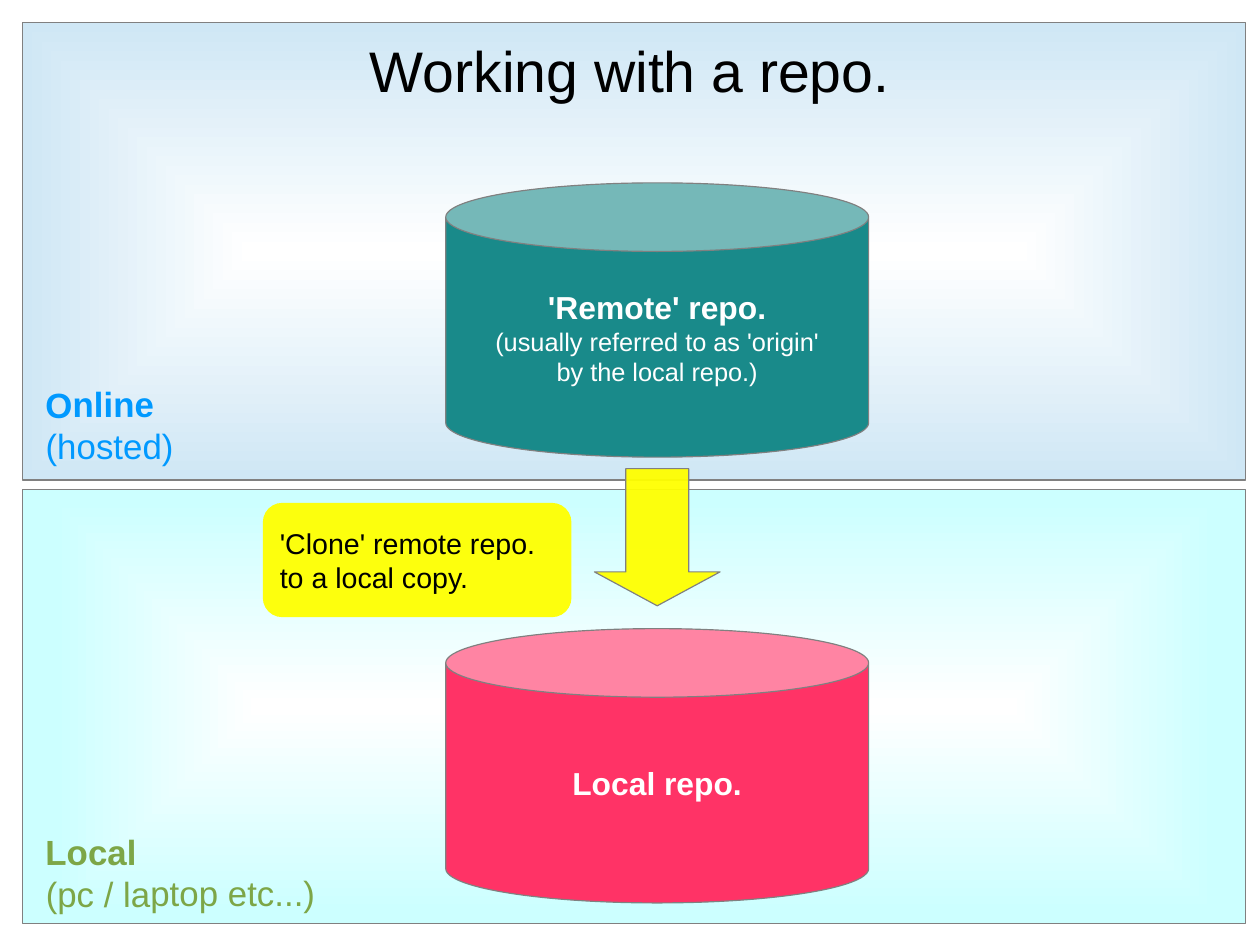
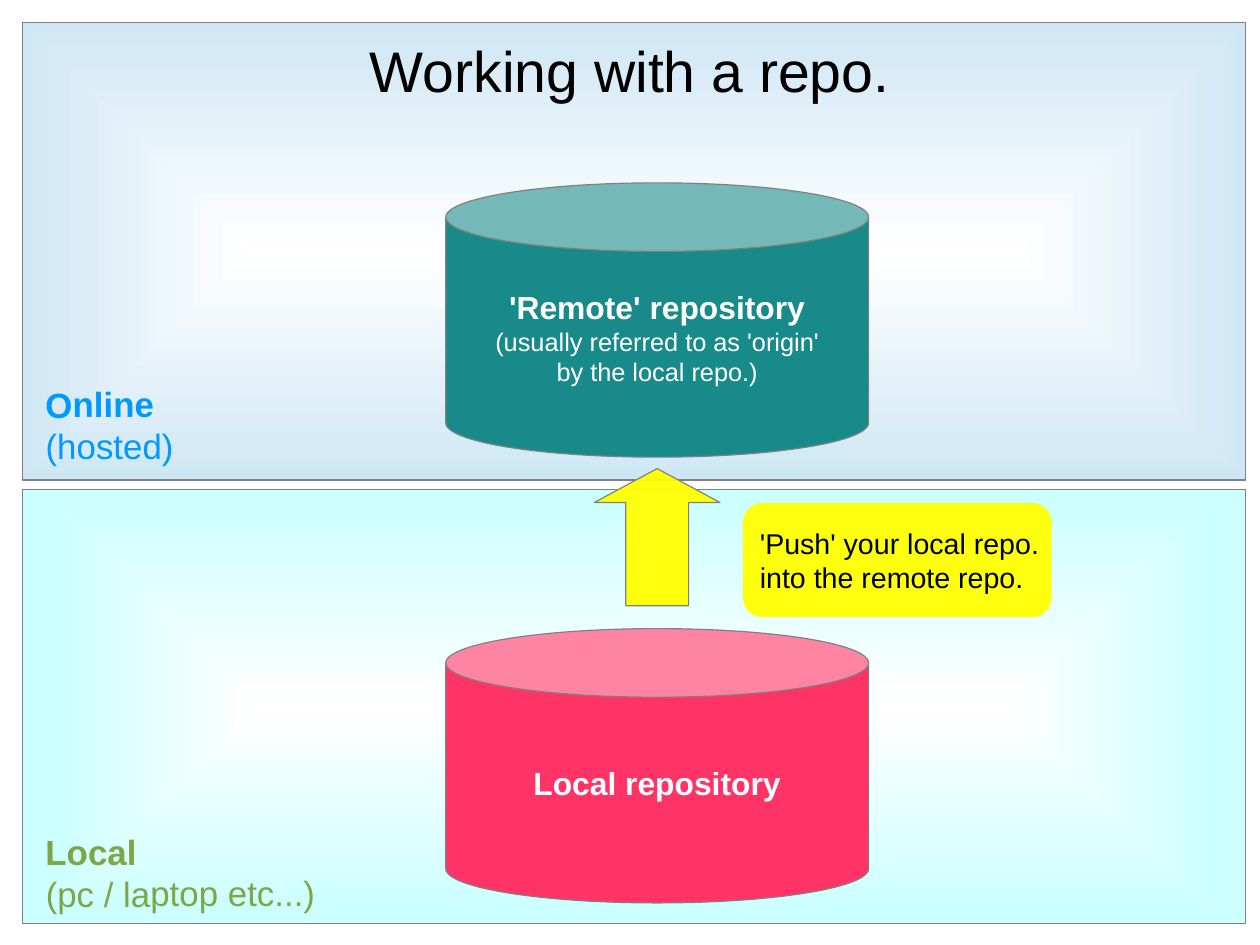
from dataclasses import dataclass

from lxml.etree import SubElement
from pptx import Presentation
from pptx.dml.color import RGBColor
from pptx.enum.shapes import MSO_SHAPE
from pptx.enum.text import MSO_ANCHOR, PP_ALIGN
from pptx.oxml import parse_xml
from pptx.oxml.ns import nsdecls, qn
from pptx.presentation import Presentation as Deck
from pptx.shapes.autoshape import Shape
from pptx.slide import Slide
from pptx.util import Cm, Emu, Inches, Pt

FONT = "Arial"
WHITE = RGBColor(0xFF, 0xFF, 0xFF)
BLACK = RGBColor(0x00, 0x00, 0x00)
OUTLINE = RGBColor(0x80, 0x80, 0x80)
SKY = RGBColor(0xCF, 0xE7, 0xF5)
AQUA = RGBColor(0xCC, 0xFF, 0xFF)
BLUE = RGBColor(0x00, 0x99, 0xFF)
GREEN = RGBColor(0x7D, 0xA6, 0x47)
TEAL = RGBColor(0x19, 0x8A, 0x8A)
PINK = RGBColor(0xFF, 0x33, 0x66)
YELLOW = RGBColor(0xFF, 0xFF, 0x00)

SLIDE_WIDTH, SLIDE_HEIGHT = Cm(28), Cm(21)
CELL = 0.1  # grid pitch in inches
YELLOW_OPACITY = 95


@dataclass(frozen=True)
class Area:
    """A place on the grid, counted in cells."""
    col: float
    row: float
    cols: float
    rows: float

    def lengths(self) -> list[Emu]:
        return [Inches(cells * CELL) for cells in (self.col, self.row, self.cols, self.rows)]


@dataclass(frozen=True)
class Line:
    text: str
    size: int
    bold: bool = False


@dataclass(frozen=True)
class Zone:
    area: Area
    edge: RGBColor
    edge_stop: int
    label_area: Area
    label_color: RGBColor
    label_tilt: float
    name: str
    place: str


@dataclass(frozen=True)
class Step:
    """One transfer between the two repositories."""
    remote_name: str
    local_name: str
    arrow_rotation: int
    callout_col: int
    callout: tuple[str, str]


TITLE = Line("Working with a repo.", 36)
TITLE_AREA = Area(5.5, 1.1, 99.2, 10)
ZONES = (
    Zone(Area(2, 42.8, 107, 38), AQUA, 95, Area(3, 72.1, 25.6, 7.8), GREEN, 359.6,
         "Local", "(pc / laptop etc...)"),
    Zone(Area(2, 2, 107, 40), SKY, 100, Area(3, 33, 13.3, 7.8), BLUE, 359.7,
         "Online", "(hosted)"),
)
REMOTE_AREA = Area(39, 16, 37, 24)
LOCAL_AREA = Area(39, 55, 37, 24)
ARROW_AREA = Area(52, 41, 11, 12)
REMOTE_NOTE = (Line("(usually referred to as 'origin'", 16), Line("by the local repo.)", 16))
STEPS = (
    Step("'Remote' repo.", "Local repo.", 180, 23,
         ("'Clone' remote repo.", "to a local copy.")),
    Step("'Remote' repository", "Local repository", 0, 65,
         ("'Push' your local repo.", "into the remote repo.")),
)


def write(shape: Shape, lines: tuple[Line, ...], color: RGBColor,
          align: PP_ALIGN = PP_ALIGN.LEFT, anchor: MSO_ANCHOR = MSO_ANCHOR.MIDDLE,
          wrap: bool = False) -> None:
    frame = shape.text_frame
    frame.word_wrap = wrap
    frame.vertical_anchor = anchor
    for index, line in enumerate(lines):
        paragraph = frame.add_paragraph() if index else frame.paragraphs[0]
        paragraph.text = line.text
        paragraph.alignment = align
        font = paragraph.font
        font.name, font.size, font.bold = FONT, Pt(line.size), line.bold
        font.color.rgb = color


def add_text(slide: Slide, area: Area) -> Shape:
    return slide.shapes.add_textbox(*area.lengths())


def add_preset(slide: Slide, preset: MSO_SHAPE, area: Area, *adjustments: float,
               fill: RGBColor | None = None, outlined: bool = True) -> Shape:
    shape = slide.shapes.add_shape(preset, *area.lengths())
    shape.shadow.inherit = False
    for index, value in enumerate(adjustments):
        shape.adjustments[index] = value
    if fill is not None:
        shape.fill.solid()
        shape.fill.fore_color.rgb = fill
    if outlined:
        shape.line.color.rgb = OUTLINE
        shape.line.width = Pt(0)
    else:
        shape.line.fill.background()
    return shape


def make_translucent(shape: Shape, opacity: int) -> None:
    color = shape._element.spPr.find(qn("a:solidFill")).find(qn("a:srgbClr"))
    SubElement(color, qn("a:alpha"), val=str(opacity * 1000))


def fill_from_centre(shape: Shape, edge: RGBColor, edge_stop: int) -> None:
    """Fade from white at the centre to the edge colour."""
    gradient = parse_xml(
        f'<a:gradFill {nsdecls("a")}><a:gsLst>'
        f'<a:gs pos="0"><a:srgbClr val="{WHITE}"/></a:gs>'
        f'<a:gs pos="{edge_stop * 1000}"><a:srgbClr val="{edge}"/></a:gs>'
        '</a:gsLst><a:path path="rect">'
        '<a:fillToRect l="50000" t="50000" r="50000" b="50000"/>'
        '</a:path></a:gradFill>')
    shape._element.spPr.find(qn("a:prstGeom")).addnext(gradient)


def add_zones(slide: Slide) -> None:
    for zone in ZONES:
        band = add_preset(slide, MSO_SHAPE.RECTANGLE, zone.area)
        fill_from_centre(band, zone.edge, zone.edge_stop)
    for zone in reversed(ZONES):
        label = add_text(slide, zone.label_area)
        label.rotation = zone.label_tilt
        write(label, (Line(zone.name, 22, True), Line(zone.place, 22)),
              zone.label_color, anchor=MSO_ANCHOR.TOP)


def add_repository(slide: Slide, area: Area, color: RGBColor, *lines: Line) -> None:
    can = add_preset(slide, MSO_SHAPE.CAN, area, 0.25, fill=color)
    write(can, lines, WHITE, PP_ALIGN.CENTER)


def add_transfer(slide: Slide, step: Step) -> None:
    arrow = add_preset(slide, MSO_SHAPE.UP_ARROW, ARROW_AREA, 0.5, 0.27, fill=YELLOW)
    arrow.rotation = step.arrow_rotation
    callout = add_preset(slide, MSO_SHAPE.ROUNDED_RECTANGLE, Area(step.callout_col, 44, 27, 10),
                         0.17, fill=YELLOW, outlined=False)
    callout.text_frame.margin_right = 0
    write(callout, tuple(Line(text, 18) for text in step.callout), BLACK, wrap=True)
    for shape in (arrow, callout):
        make_translucent(shape, YELLOW_OPACITY)


def add_step_slide(deck: Deck, step: Step) -> None:
    slide = deck.slides.add_slide(deck.slide_layouts[6])
    add_zones(slide)
    write(add_text(slide, TITLE_AREA), (TITLE,), BLACK, PP_ALIGN.CENTER, wrap=True)
    add_repository(slide, LOCAL_AREA, PINK, Line(step.local_name, 20, True))
    add_repository(slide, REMOTE_AREA, TEAL, Line(step.remote_name, 20, True), *REMOTE_NOTE)
    add_transfer(slide, step)


def main() -> None:
    deck = Presentation()
    deck.slide_width, deck.slide_height = SLIDE_WIDTH, SLIDE_HEIGHT
    for step in STEPS:
        add_step_slide(deck, step)
    deck.save("out.pptx")


if __name__ == "__main__":
    main()
